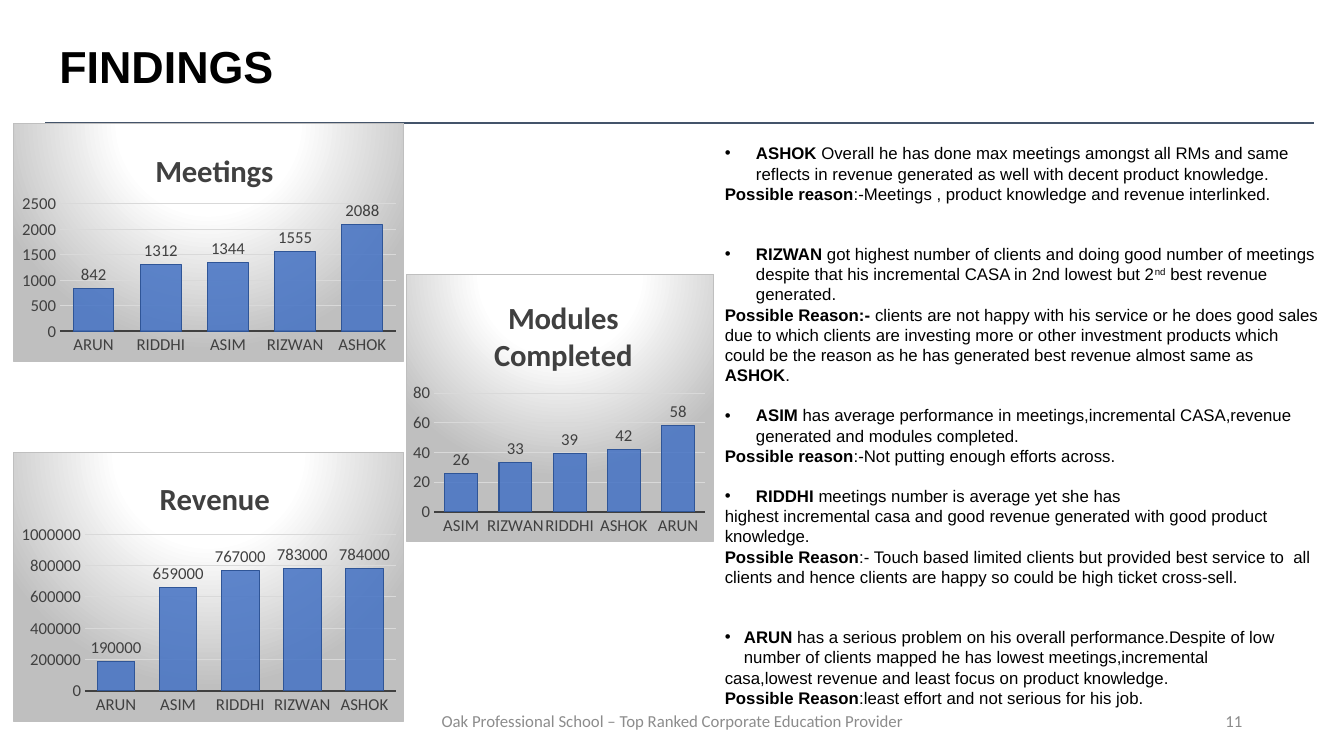
from lxml import etree
from pptx import Presentation
from pptx.chart.data import CategoryChartData
from pptx.dml.color import RGBColor
from pptx.enum.chart import XL_CHART_TYPE, XL_LABEL_POSITION, XL_TICK_MARK
from pptx.enum.shapes import MSO_CONNECTOR
from pptx.enum.text import MSO_ANCHOR, PP_ALIGN
from pptx.oxml import parse_xml
from pptx.oxml.ns import nsdecls, qn
from pptx.util import Inches, Pt

COLUMN = XL_CHART_TYPE.COLUMN_CLUSTERED
OUTSIDE = XL_LABEL_POSITION.OUTSIDE_END
NO_TICK = XL_TICK_MARK.NONE
STRAIGHT = MSO_CONNECTOR.STRAIGHT
TOP, MIDDLE = MSO_ANCHOR.TOP, MSO_ANCHOR.MIDDLE
LEFT, CENTER, RIGHT = PP_ALIGN.LEFT, PP_ALIGN.CENTER, PP_ALIGN.RIGHT

BLACK = RGBColor(0x00, 0x00, 0x00)
FOOTER_GRAY = RGBColor(0x8C, 0x8C, 0x8C)
RULE_BLUE = RGBColor(0x44, 0x54, 0x6A)
CHART_TEXT = RGBColor(0x40, 0x40, 0x40)
GRID_GRAY = RGBColor(0xD9, 0xD9, 0xD9)
BAR_BLUE = RGBColor(0x44, 0x72, 0xC4)
BAR_EDGE = RGBColor(0x2F, 0x55, 0x97)

LINE_HEIGHT = 14.4
BOLD = {"bold": True}
PLAIN = {}
SUPER = {"baseline": 30}

# Box, title and its width, left and top of the plot, axis maximum and step, values
CHARTS = [
    ((0.13, 1.22, 3.88, 2.37), "Meetings", 1.17, (0.46, 0.8), (2500, 500),
     {"ARUN": 842, "RIDDHI": 1312, "ASIM": 1344, "RIZWAN": 1555, "ASHOK": 2088}),
    ((0.13, 4.48, 3.88, 2.68), "Revenue", 1.09, (0.71, 0.82), (1000000, 200000),
     {"ARUN": 190000, "ASIM": 659000, "RIDDHI": 767000, "RIZWAN": 783000,
      "ASHOK": 784000}),
    ((4.03, 2.72, 3.05, 2.66), "Modules\nCompleted", 1.37, (0.27, 1.18), (80, 20),
     {"ASIM": 26, "RIZWAN": 33, "RIDDHI": 39, "ASHOK": 42, "ARUN": 58}),
]

# Lines of space before, bullet indent, runs
FINDINGS = [
    (0, 0.31, [("ASHOK ", BOLD), ("Overall he has done max meetings amongst all RMs and same "
     "reflects in revenue generated as well with decent product knowledge.", PLAIN)]),
    (0, 0, [("Possible reason", BOLD),
            (":-Meetings , product knowledge and revenue interlinked.", PLAIN)]),
    (2, 0.31, [("RIZWAN", BOLD), (" got highest number of clients and doing good number of "
     "meetings despite that his incremental CASA in 2nd lowest but 2", PLAIN),
     ("nd", SUPER), (" best revenue generated.", PLAIN)]),
    (0, 0, [("Possible Reason:-", BOLD), (" clients are not happy with his service or he does "
     "good sales due to which clients are investing more or other investment products which "
     "could be the reason as he has generated best revenue almost same as ", PLAIN),
     ("ASHOK", BOLD), (".", PLAIN)]),
    (1, 0.31, [("ASIM", BOLD), (" has average performance in meetings,incremental "
     "CASA,revenue generated and modules completed.", PLAIN)]),
    (0, 0, [("Possible reason", BOLD), (":-Not putting enough efforts across.", PLAIN)]),
    (1, 0.31, [("RIDDHI", BOLD), (" meetings number is average yet she has", PLAIN)]),
    (0, 0, [("highest incremental casa and good revenue generated with good product "
             "knowledge.", PLAIN)]),
    (0, 0, [("Possible Reason", BOLD), (":- Touch based limited clients but provided best "
     "service to  all clients and hence clients are happy so could be high ticket "
     "cross-sell.", PLAIN)]),
    (2, 0.19, [("ARUN ", BOLD), ("has a serious problem on his overall performance.Despite of "
     "low number of clients mapped he has lowest meetings,incremental", PLAIN)]),
    (0, 0, [("casa,lowest revenue and least focus on product knowledge.", PLAIN)]),
    (0, 0, [("Possible Reason", BOLD),
            (":least effort and not serious for his job.", PLAIN)]),
]


def add_run(p, text, size=12, font="Arial", color=BLACK, bold=False, baseline=0):
    r = p.add_run()
    r.text = text
    set_font(r.font, size, color, bold, font)
    if baseline:
        r.font._element.set("baseline", str(baseline * 1000))


def set_font(f, size, color, bold=False, name="Calibri"):
    f.size, f.bold, f.name = Pt(size), bold, name
    f.color.rgb = color


def add_box(s, box, anchor=MIDDLE):
    tf = s.shapes.add_textbox(*map(Inches, box)).text_frame
    tf.word_wrap = True
    tf.vertical_anchor = anchor
    return tf


def add_line_of_text(s, box, text, align=LEFT, spacing=1.0, **fmt):
    p = add_box(s, box).paragraphs[0]
    p.alignment, p.line_spacing = align, spacing
    add_run(p, text, **fmt)


def add_header(s):
    add_line_of_text(s, (0.49, 0.15, 11.32, 1.07), "FINDINGS", spacing=0.9, size=32, bold=True)
    rule = s.shapes.add_connector(STRAIGHT, *map(Inches, (0.45, 1.22, 13.03, 1.22)))
    rule.line.color.rgb = RULE_BLUE
    rule.line.width = Pt(2)
    etree.SubElement(rule._element.spPr, qn("a:effectLst"))


def add_footer(s):
    fmt = {"size": 12, "font": "Calibri", "color": FOOTER_GRAY}
    add_line_of_text(s, (4.26, 6.95, 4.82, 0.4),
                     "Oak Professional School – Top Ranked Corporate Education Provider",
                     CENTER, **fmt)
    add_line_of_text(s, (9.42, 6.95, 3, 0.4), "11", RIGHT, **fmt)


def layout_xml(inner, **fractions):
    """Manual chart layout from x, y and optionally w, h as shares of the chart."""
    target = '<c:layoutTarget val="inner"/>' if inner else ""
    modes = '<c:xMode val="edge"/><c:yMode val="edge"/>'
    sizes = "".join(f'<c:{k} val="{v:.3f}"/>' for k, v in fractions.items())
    return parse_xml(f'<c:layout {nsdecls("c")}><c:manualLayout>{target}{modes}{sizes}'
                     '</c:manualLayout></c:layout>')


def set_layout(parent, layout, index):
    for old in parent.findall(qn("c:layout")):
        parent.remove(old)
    parent.insert(index, layout)


def fill_background(chart):
    stops = "".join(f'<a:gs pos="{pos}000"><a:srgbClr val="{c}"/></a:gs>'
                    for pos, c in ((0, "FFFFFF"), (39, "FFFFFF"), (100, "BFBFBF")))
    sp_pr = parse_xml(
        f'<c:spPr {nsdecls("c", "a")}><a:gradFill><a:gsLst>{stops}</a:gsLst>'
        '<a:path path="circle"><a:fillToRect l="50000" t="-80000" r="50000" b="180000"/>'
        '</a:path></a:gradFill><a:ln w="9525"><a:solidFill><a:srgbClr val="BFBFBF"/>'
        '</a:solidFill></a:ln></c:spPr>')
    chart._chartSpace.find(qn("c:chart")).addnext(sp_pr)


def add_column_chart(s, box, title, title_width, plot_at, scale, values):
    _, _, w, h = box
    data = CategoryChartData()
    data.categories = list(values)
    data.add_series("Series 1", list(values.values()))
    chart = s.shapes.add_chart(COLUMN, *map(Inches, box), data).chart
    set_font(chart.font, 10, BLACK)
    chart.has_legend = False
    fill_background(chart)

    tf = chart.chart_title.text_frame
    tf.text = title
    for p in tf.paragraphs:
        set_font(p.runs[0].font, 22, CHART_TEXT, bold=True)
    set_layout(chart.chart_title._element,
               layout_xml(False, x=(w - title_width) / 2 / w, y=0.2 / h), 1)
    left, top = plot_at
    set_layout(chart._chartSpace.chart.plotArea,
               layout_xml(True, x=left / w, y=top / h,
                          w=(w - left - 0.08) / w, h=(h - top - 0.3) / h), 0)

    cat, val = chart.category_axis, chart.value_axis
    for axis in (cat, val):
        axis.major_tick_mark = axis.minor_tick_mark = NO_TICK
        set_font(axis.tick_labels.font, 12, CHART_TEXT)
    cat.format.line.color.rgb = CHART_TEXT
    cat.format.line.width = Pt(1.5)
    val.format.line.fill.background()
    val.minimum_scale = 0
    val.maximum_scale, val.major_unit = scale
    val.major_gridlines.format.line.color.rgb = GRID_GRAY
    val.major_gridlines.format.line.width = Pt(0.75)

    plot = chart.plots[0]
    plot.gap_width, plot.vary_by_categories = 65, False
    plot.has_data_labels = True
    plot.data_labels.show_value = True
    plot.data_labels.position = OUTSIDE
    set_font(plot.data_labels.font, 12, CHART_TEXT)
    bars = plot.series[0].format
    bars.fill.solid()
    bars.fill.fore_color.rgb = BAR_BLUE
    color = plot.series[0]._element.spPr.find(".//" + qn("a:srgbClr"))
    etree.SubElement(color, qn("a:alpha"), val="85000")
    bars.line.color.rgb = BAR_EDGE
    bars.line.width = Pt(0.75)


def add_findings(s, box):
    tf = add_box(s, box, TOP)
    for i, (gap, indent, runs) in enumerate(FINDINGS):
        p = tf.add_paragraph() if i else tf.paragraphs[0]
        p.line_spacing = Pt(LINE_HEIGHT)
        p.space_before = Pt(gap * LINE_HEIGHT)
        for text, fmt in runs:
            add_run(p, text, **fmt)
        if indent:
            p_pr = p._p.get_or_add_pPr()
            p_pr.set("marL", str(Inches(indent)))
            p_pr.set("indent", str(-Inches(indent)))
            etree.SubElement(p_pr, qn("a:buFont"), typeface="Arial")
            etree.SubElement(p_pr, qn("a:buChar"), char="•")


def main():
    prs = Presentation()
    prs.slide_width, prs.slide_height = Inches(13.33), Inches(7.5)
    s = prs.slides.add_slide(prs.slide_layouts[6])
    add_footer(s)
    add_header(s)
    for spec_row in CHARTS:
        add_column_chart(s, *spec_row)
    add_findings(s, (7.09, 1.37, 6.13, 5.55))
    prs.save("out.pptx")


if __name__ == "__main__":
    main()
